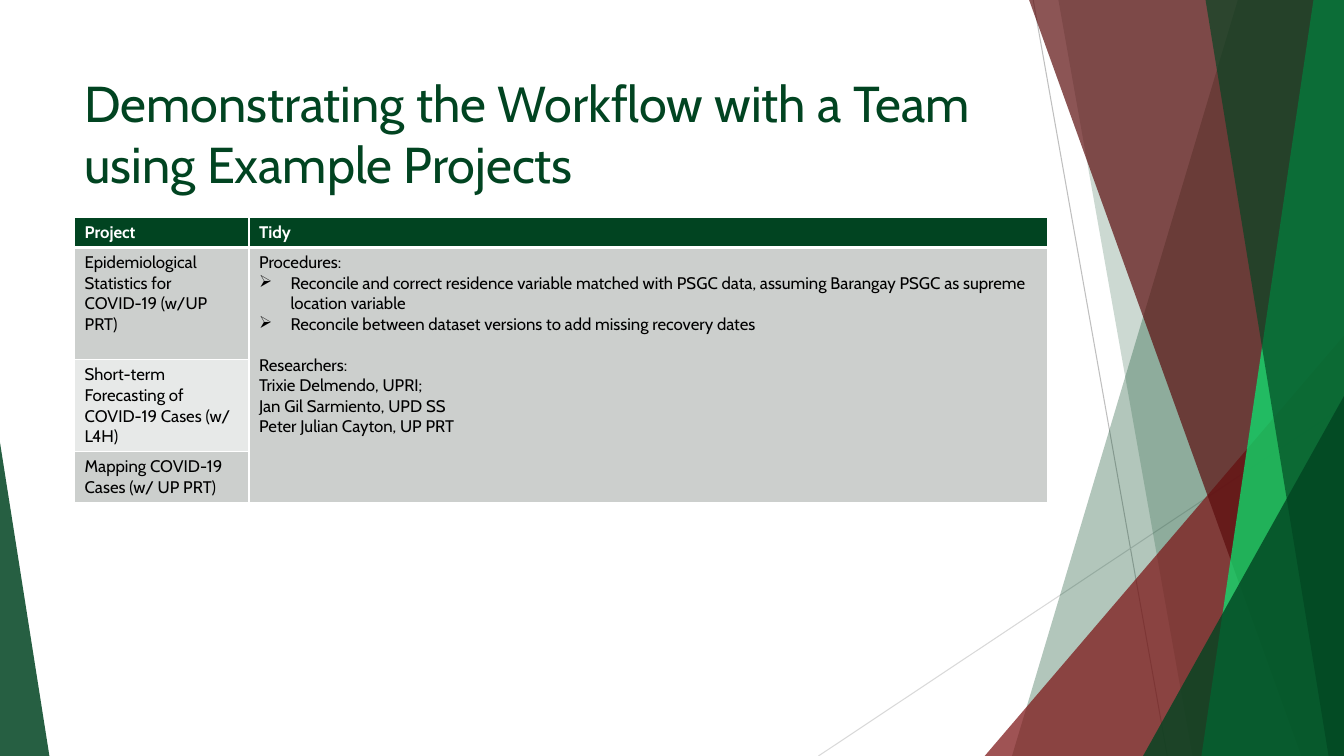
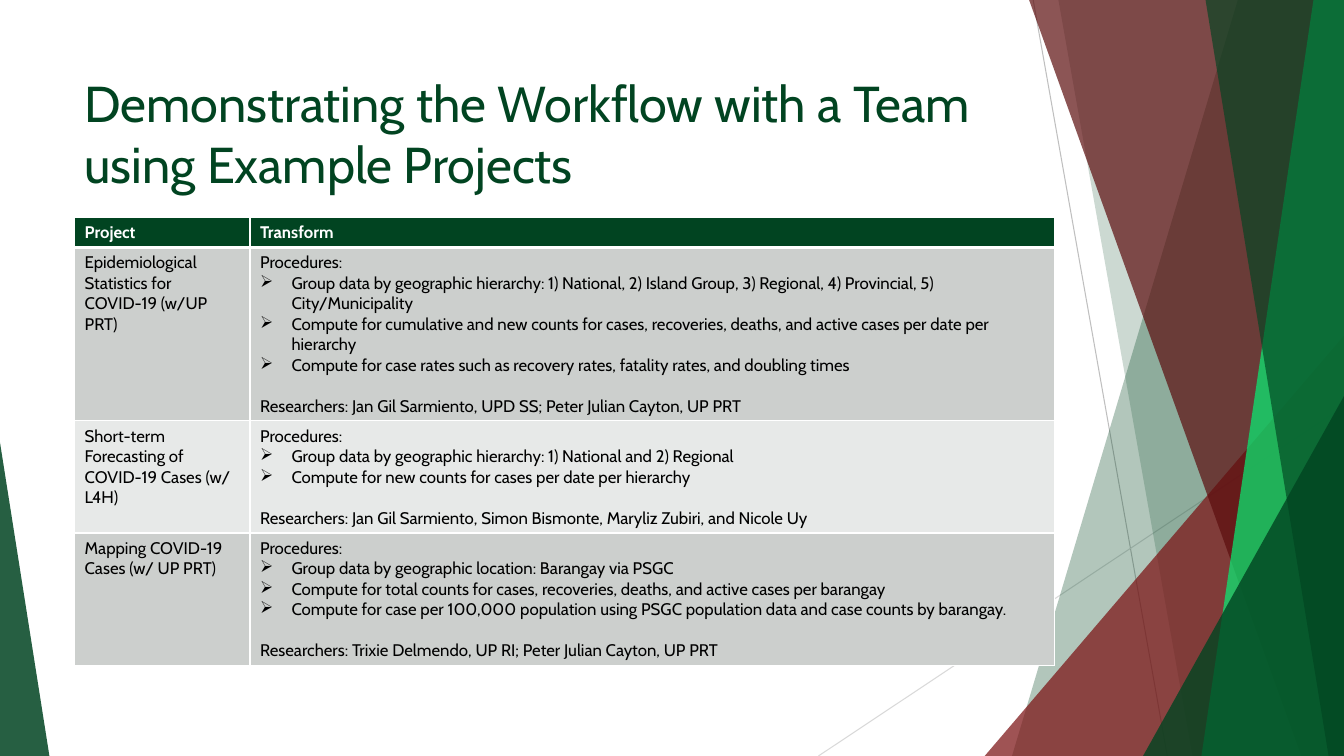
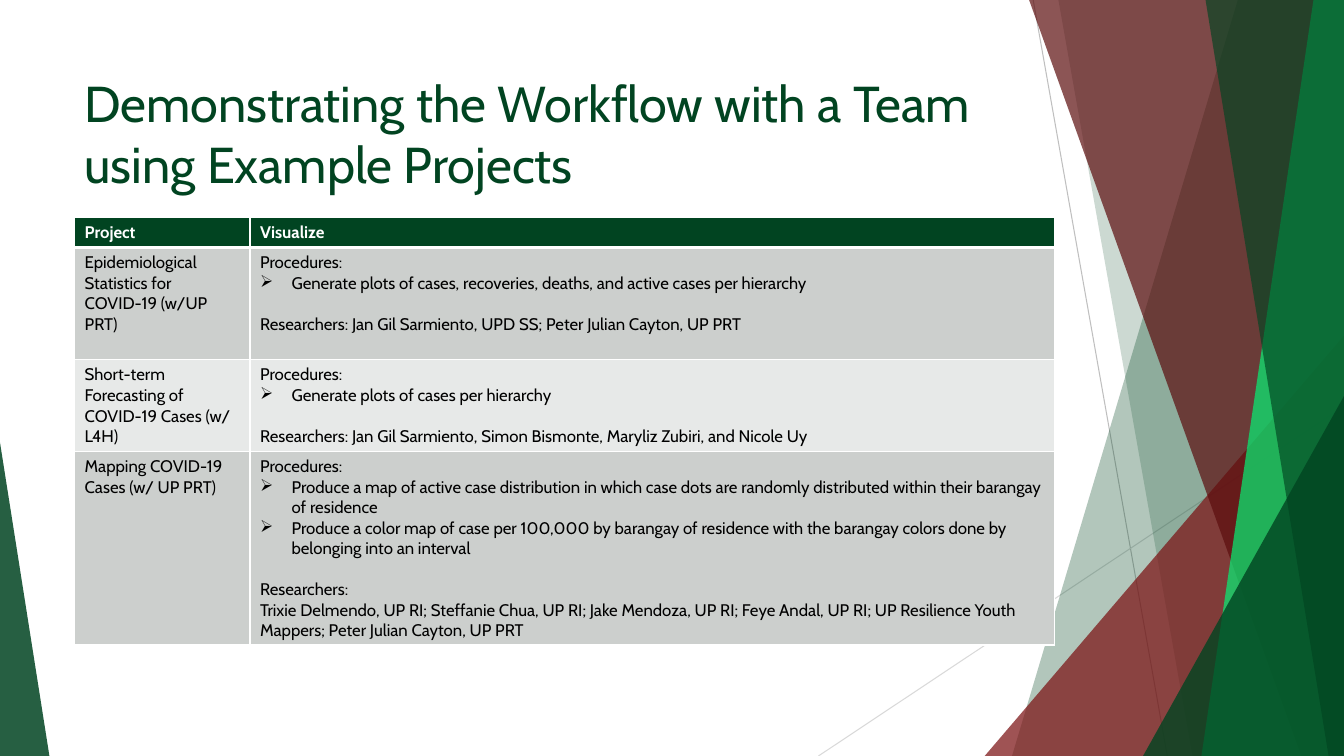
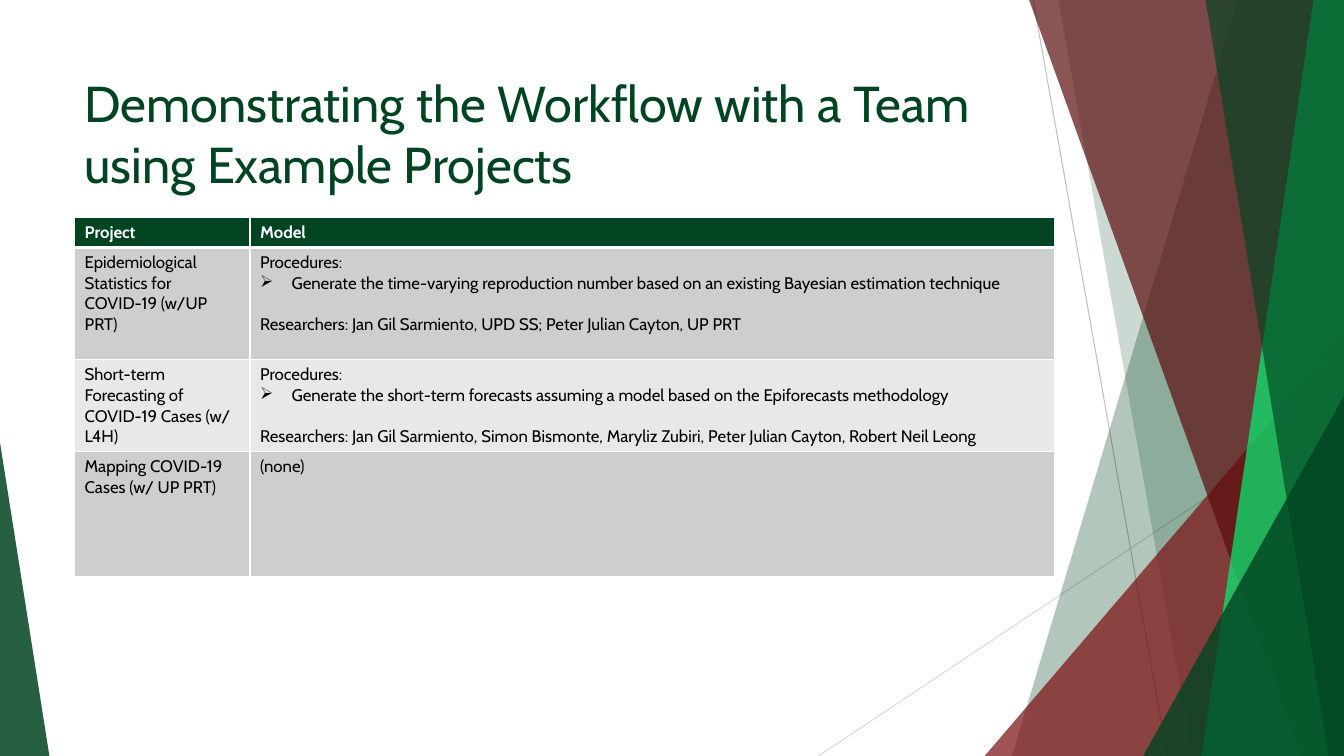
from dataclasses import dataclass

from lxml import etree
from pptx import Presentation
from pptx import util as u
from pptx.dml.color import RGBColor
from pptx.enum import shapes, text
from pptx.oxml import ns

FONT = "Cabin"
GREEN, MAROON, DARK_MAROON, BRIGHT_GREEN = "014421", "7B1113", "5C0D0E", "04F275"
WHITE, BLACK, DARK_BAND, LIGHT_BAND = "FFFFFF", "000000", "CCCFCD", "E7E9E8"
SLIDE_WIDTH, SLIDE_HEIGHT = 960, 540
LEFT = 53.3
TABLE_TOP = 155
HEADER_HEIGHT = 21.8
LINE_HEIGHT = 14.6
BULLET_INDENT = 22.5
TITLE = "Demonstrating the Workflow with a Team using Example Projects"
PROJECTS = (
    "Epidemiological Statistics for COVID-19 (w/UP PRT)",
    "Short-term Forecasting of COVID-19 Cases (w/ L4H)",
    "Mapping COVID-19 Cases (w/ UP PRT)",
)
STATISTICS_TEAM = ("Researchers: Jan Gil Sarmiento, UPD SS; Peter Julian Cayton, UP PRT",)
FORECAST_TEAM = ("Researchers: Jan Gil Sarmiento, Simon Bismonte, Maryliz Zubiri, and Nicole Uy",)


@dataclass(frozen=True)
class Line:
    start: tuple[float, float]
    end: tuple[float, float]
    color: str


@dataclass(frozen=True)
class Band:
    top_x: float
    bottom_x: float
    color: str
    opacity: int


@dataclass(frozen=True)
class Triangle:
    left: float
    top: float
    width: float
    apex: float
    color: str
    opacity: int


@dataclass(frozen=True)
class Entry:
    steps: tuple[str, ...] = ()
    researchers: tuple[str, ...] = ()


@dataclass(frozen=True)
class Stage:
    name: str
    columns: tuple[float, float]
    heights: tuple[float, float, float]
    entries: tuple[Entry, ...]


LINES = (
    Line((738, 0), (833.8, SLIDE_HEIGHT), "BFBFBF"),
    Line((SLIDE_WIDTH, 290.2), (584.6, SLIDE_HEIGHT), "D9D9D9"),
)
FACETS = (
    Band(884.2, 722.9, GREEN, 30),
    Band(756, 851.8, GREEN, 20),
    Triangle(703.4, 239.8, 256.6, 1, MAROON, 72),
    Band(735.1, 929.5, DARK_MAROON, 70),
    Band(938.2, 858.2, BRIGHT_GREEN, 70),
    Band(861.1, 949, GREEN, 65),
    Triangle(816.5, 283, 143.5, 1, GREEN, 80),
    Triangle(0, 316.1, 35.3, 0, GREEN, 85),
)
WIDE = (125.3, 574.6)
STAGES = (
    Stage("Tidy", (124.6, 570.2), (80.1, 65.5, 36.4), (
        Entry(
            (
                "Reconcile and correct residence variable matched with PSGC data, assuming Barangay PSGC as supreme location variable",
                "Reconcile between dataset versions to add missing recovery dates",
            ),
            (
                "Researchers:",
                "Trixie Delmendo, UPRI;",
                "Jan Gil Sarmiento, UPD SS",
                "Peter Julian Cayton, UP PRT",
            ),
        ),
    )),
    Stage("Transform", WIDE, (123.8, 80.1, 94.7), (
        Entry(
            (
                "Group data by geographic hierarchy: 1) National, 2) Island Group, 3) Regional, 4) Provincial, 5) City/Municipality",
                "Compute for cumulative and new counts for cases, recoveries, deaths, and active cases per date per hierarchy",
                "Compute for case rates such as recovery rates, fatality rates, and doubling times",
            ),
            STATISTICS_TEAM,
        ),
        Entry(
            (
                "Group data by geographic hierarchy: 1) National and 2) Regional",
                "Compute for new counts for cases per date per hierarchy",
            ),
            FORECAST_TEAM,
        ),
        Entry(
            (
                "Group data by geographic location: Barangay via PSGC",
                "Compute for total counts for cases, recoveries, deaths, and active cases per barangay",
                "Compute for case per 100,000 population using PSGC population data and case counts by barangay.",
            ),
            ("Researchers: Trixie Delmendo, UP RI; Peter Julian Cayton, UP PRT",),
        ),
    )),
    Stage("Visualize", WIDE, (80.1, 65.5, 138.4), (
        Entry(
            ("Generate plots of cases, recoveries, deaths, and active cases per hierarchy",),
            STATISTICS_TEAM,
        ),
        Entry(("Generate plots of cases per hierarchy",), FORECAST_TEAM),
        Entry(
            (
                "Produce a map of active case distribution in which case dots are randomly distributed within their barangay of residence",
                "Produce a color map of case per 100,000 by barangay of residence with the barangay colors done by belonging into an interval",
            ),
            (
                "Researchers:",
                "Trixie Delmendo, UP RI; Steffanie Chua, UP RI; Jake Mendoza, UP RI; Feye Andal, UP RI; UP Resilience Youth Mappers; Peter Julian Cayton, UP PRT",
            ),
        ),
    )),
    Stage("Model", WIDE, (80.1, 65.5, 89.3), (
        Entry(
            ("Generate the time-varying reproduction number based on an existing Bayesian estimation technique",),
            STATISTICS_TEAM,
        ),
        Entry(
            ("Generate the short-term forecasts assuming a model based on the Epiforecasts methodology",),
            ("Researchers: Jan Gil Sarmiento, Simon Bismonte, Maryliz Zubiri, Peter Julian Cayton, Robert Neil Leong",),
        ),
        Entry(),
    )),
)


def paint(fill_format, color: str) -> None:
    fill_format.solid()
    fill_format.fore_color.rgb = RGBColor.from_string(color)


def set_font(paragraph, size: float, color: str, bold: bool = False) -> None:
    font = paragraph.font
    font.name, font.size, font.bold = FONT, u.Pt(size), bold
    font.color.rgb = RGBColor.from_string(color)


def draw_line(slide, line: Line) -> None:
    connector = slide.shapes.add_connector(
        shapes.MSO_CONNECTOR.STRAIGHT, *map(u.Pt, line.start + line.end)
    )
    connector.line.width = u.Pt(0.75)
    paint(connector.line.fill, line.color)
    etree.SubElement(connector.element.spPr, ns.qn("a:effectLst"))


def draw_facet(slide, facet: Band | Triangle) -> None:
    if isinstance(facet, Band):
        builder = slide.shapes.build_freeform(u.Pt(facet.top_x), 0)
        corners = ((SLIDE_WIDTH, 0), (SLIDE_WIDTH, SLIDE_HEIGHT), (facet.bottom_x, SLIDE_HEIGHT))
        builder.add_line_segments([(u.Pt(x), u.Pt(y)) for x, y in corners])
        shape = builder.convert_to_shape()
    else:
        box = (facet.left, facet.top, facet.width, SLIDE_HEIGHT - facet.top)
        shape = slide.shapes.add_shape(shapes.MSO_SHAPE.ISOSCELES_TRIANGLE, *map(u.Pt, box))
        shape.adjustments[0] = facet.apex
    shape.shadow.inherit = False
    shape.line.fill.background()
    paint(shape.fill, facet.color)
    color_element = shape.element.spPr.find(ns.qn("a:solidFill"))[0]
    etree.SubElement(color_element, ns.qn("a:alpha"), val=str(facet.opacity * 1000))


def draw_title(slide) -> None:
    box = slide.shapes.add_textbox(*map(u.Pt, (LEFT, 48.2, 676.8, 103.7)))
    frame = box.text_frame
    frame.word_wrap = True
    frame.vertical_anchor = text.MSO_ANCHOR.TOP
    frame.text = TITLE
    set_font(frame.paragraphs[0], 36, GREEN)


def add_bullet(paragraph) -> None:
    properties = paragraph._p.get_or_add_pPr()
    indent = u.Pt(BULLET_INDENT)
    properties.set("marL", str(indent))
    properties.set("indent", str(-indent))
    etree.SubElement(properties, ns.qn("a:buChar"), char="➢")


def style_cell(cell, fill: str, top: float = 1, bottom: float = 1) -> None:
    paint(cell.fill, fill)
    properties = cell._tc.get_or_add_tcPr()
    widths = {"lnL": 1, "lnR": 1, "lnT": top, "lnB": bottom}
    for position, (side, width) in enumerate(widths.items()):
        border = etree.Element(ns.qn(f"a:{side}"), w=str(u.Pt(width)))
        solid = etree.SubElement(border, ns.qn("a:solidFill"))
        etree.SubElement(solid, ns.qn("a:srgbClr"), val=WHITE)
        properties.insert(position, border)


def write_entry(cell, entry: Entry) -> None:
    opening = "Procedures:" if entry.steps else "(none)"
    cell.text = "\n".join((opening, *entry.steps, *entry.researchers))
    first_researcher = 1 + len(entry.steps)
    for index, paragraph in enumerate(cell.text_frame.paragraphs):
        if 0 < index < first_researcher:
            add_bullet(paragraph)
        elif index and index == first_researcher:
            paragraph.space_before = u.Pt(LINE_HEIGHT)
        set_font(paragraph, 12, BLACK)


def draw_table(slide, stage: Stage) -> None:
    heights = (HEADER_HEIGHT, *stage.heights)
    box = (LEFT, TABLE_TOP, sum(stage.columns), sum(heights))
    table = slide.shapes.add_table(len(heights), 2, *map(u.Pt, box)).table
    table.horz_banding = False
    for column, width in zip(table.columns, stage.columns):
        column.width = u.Pt(width)
    for row, height in zip(table.rows, heights):
        row.height = u.Pt(height)
    for cell, heading in zip(table.rows[0].cells, ("Project", stage.name)):
        cell.text = heading
        set_font(cell.text_frame.paragraphs[0], 12, WHITE, bold=True)
        style_cell(cell, GREEN, bottom=3)
    shared = len(stage.entries) == 1
    for index, project in enumerate(PROJECTS, start=1):
        fill = DARK_BAND if index % 2 else LIGHT_BAND
        top = 3 if index == 1 else 1
        project_cell, entry_cell = table.rows[index].cells
        project_cell.text = project
        set_font(project_cell.text_frame.paragraphs[0], 12, BLACK)
        style_cell(project_cell, fill, top)
        style_cell(entry_cell, DARK_BAND if shared else fill, top)
    if shared:
        table.cell(1, 1).merge(table.cell(len(PROJECTS), 1))
    for index, entry in enumerate(stage.entries, start=1):
        write_entry(table.cell(index, 1), entry)


def main() -> None:
    presentation = Presentation()
    presentation.slide_width, presentation.slide_height = u.Pt(SLIDE_WIDTH), u.Pt(SLIDE_HEIGHT)
    for stage in STAGES:
        slide = presentation.slides.add_slide(presentation.slide_layouts[6])
        for line in LINES:
            draw_line(slide, line)
        for facet in FACETS:
            draw_facet(slide, facet)
        draw_title(slide)
        draw_table(slide, stage)
    presentation.save("out.pptx")


if __name__ == "__main__":
    main()
